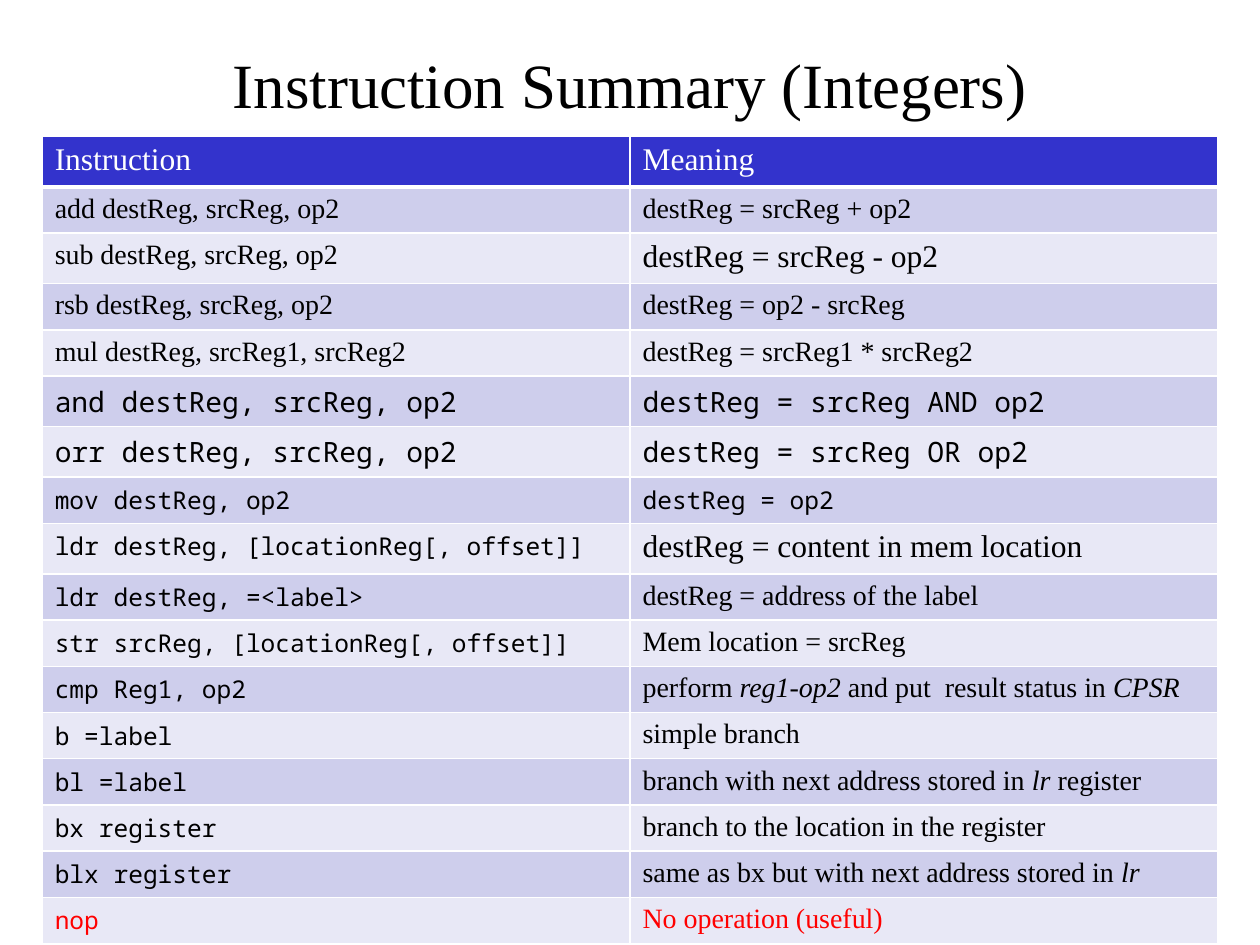
from lxml.etree import SubElement
from pptx import Presentation
from pptx.dml.color import RGBColor
from pptx.enum.text import MSO_ANCHOR, PP_ALIGN
from pptx.oxml.ns import qn
from pptx.util import Cm, Pt

TITLE = "Instruction Summary (Integers)"
SERIF, MONO = "Times New Roman", "Noto Sans Mono"
COLORS = {"head": "3333CC", "odd": "CECEEC", "even": "E8E8F6",
          "line": "FFFFFF", "text": "000000", "alert": "FF0000"}

# Text styles: font, size in points, row height in cm that it needs
STYLES = {"big": (SERIF, 18, 0.95), "body": (SERIF, 16, 0.88),
          "code": (MONO, 16, 1.02), "small": (MONO, 14, 0.93)}

# Instruction, its style, meaning, its style; underscores enclose italics
ROWS = [
    ("Instruction", "big", "Meaning", "big"),
    ("add destReg, srcReg, op2", "body", "destReg = srcReg + op2", "body"),
    ("sub destReg, srcReg, op2", "body", "destReg = srcReg - op2", "big"),
    ("rsb destReg, srcReg, op2", "body", "destReg = op2 - srcReg", "body"),
    ("mul destReg, srcReg1, srcReg2", "body",
     "destReg = srcReg1 * srcReg2", "body"),
    ("and destReg, srcReg, op2", "code", "destReg = srcReg AND op2", "code"),
    ("orr destReg, srcReg, op2", "code", "destReg = srcReg OR op2", "code"),
    ("mov destReg, op2", "small", "destReg = op2", "small"),
    ("ldr destReg, [locationReg[, offset]]", "small",
     "destReg = content in mem location", "big"),
    ("ldr destReg, =<label>", "small", "destReg = address of the label", "body"),
    ("str srcReg, [locationReg[, offset]]", "small",
     "Mem location = srcReg", "body"),
    ("cmp Reg1, op2", "small",
     "perform _reg1-op2_ and put  result status in _CPSR_", "body"),
    ("b =label", "small", "simple branch", "body"),
    ("bl =label", "small",
     "branch with next address stored in _lr_ register", "body"),
    ("bx register", "small", "branch to the location in the register", "body"),
    ("blx register", "small",
     "same as bx but with next address stored in _lr_", "body"),
    ("nop", "small", "No operation (useful)", "body"),
]


def color(name):
    return RGBColor.from_string(COLORS[name])


def set_font(font, face, size, ink):
    font.name, font.size, font.bold = face, Pt(size), False
    font.color.rgb = color(ink)


def add_edges(cell, base):
    """Draw the four cell borders; base is the width of the lower one."""
    props = cell._tc.get_or_add_tcPr()
    for spot, (side, width) in enumerate(
            [("L", 1), ("R", 1), ("T", 1), ("B", base)]):
        edge = SubElement(props, qn(f"a:ln{side}"), w=str(Pt(width)))
        fill = SubElement(edge, qn("a:solidFill"))
        SubElement(fill, qn("a:srgbClr"), val=COLORS["line"])
        props.insert(spot, edge)


def fill_cell(cell, text, style, back, ink, base):
    face, size, _ = STYLES[style]
    cell.fill.solid()
    cell.fill.fore_color.rgb = color(back)
    add_edges(cell, base)
    para = cell.text_frame.paragraphs[0]
    set_font(para.font, face, size, ink)
    for spot, part in enumerate(text.split("_")):
        if part:
            run = para.add_run()
            run.text = part
            set_font(run.font, face, size, ink)
            run.font.italic = spot % 2 == 1


def add_title(slide):
    box = slide.shapes.add_textbox(Cm(1.9), Cm(1.02), Cm(21.6), Cm(1.32))
    frame = box.text_frame
    frame.word_wrap = True
    frame.vertical_anchor = MSO_ANCHOR.MIDDLE
    para = frame.paragraphs[0]
    para.text = TITLE
    para.alignment = PP_ALIGN.CENTER
    set_font(para.font, SERIF, 36, "text")


def add_grid(slide):
    highs = [Cm(max(STYLES[a][2], STYLES[b][2])) for _, a, _, b in ROWS]
    table = slide.shapes.add_table(len(ROWS), 2, Cm(0.85), Cm(2.75),
                                   Cm(23.7), sum(highs)).table
    table.first_row = table.horz_banding = False
    last = len(ROWS) - 1
    for num, (code, left, sense, right) in enumerate(ROWS):
        table.rows[num].height = highs[num]
        back = "head" if num == 0 else ("even", "odd")[num % 2]
        ink = {0: "line", last: "alert"}.get(num, "text")
        base = 3 if num == 0 else 1
        for col, (text, style) in enumerate([(code, left), (sense, right)]):
            fill_cell(table.cell(num, col), text, style, back, ink, base)


def main():
    deck = Presentation()
    deck.slide_width, deck.slide_height = Cm(25.4), Cm(19.05)
    slide = deck.slides.add_slide(deck.slide_layouts[6])
    add_title(slide)
    add_grid(slide)
    deck.save("out.pptx")


if __name__ == "__main__":
    main()
